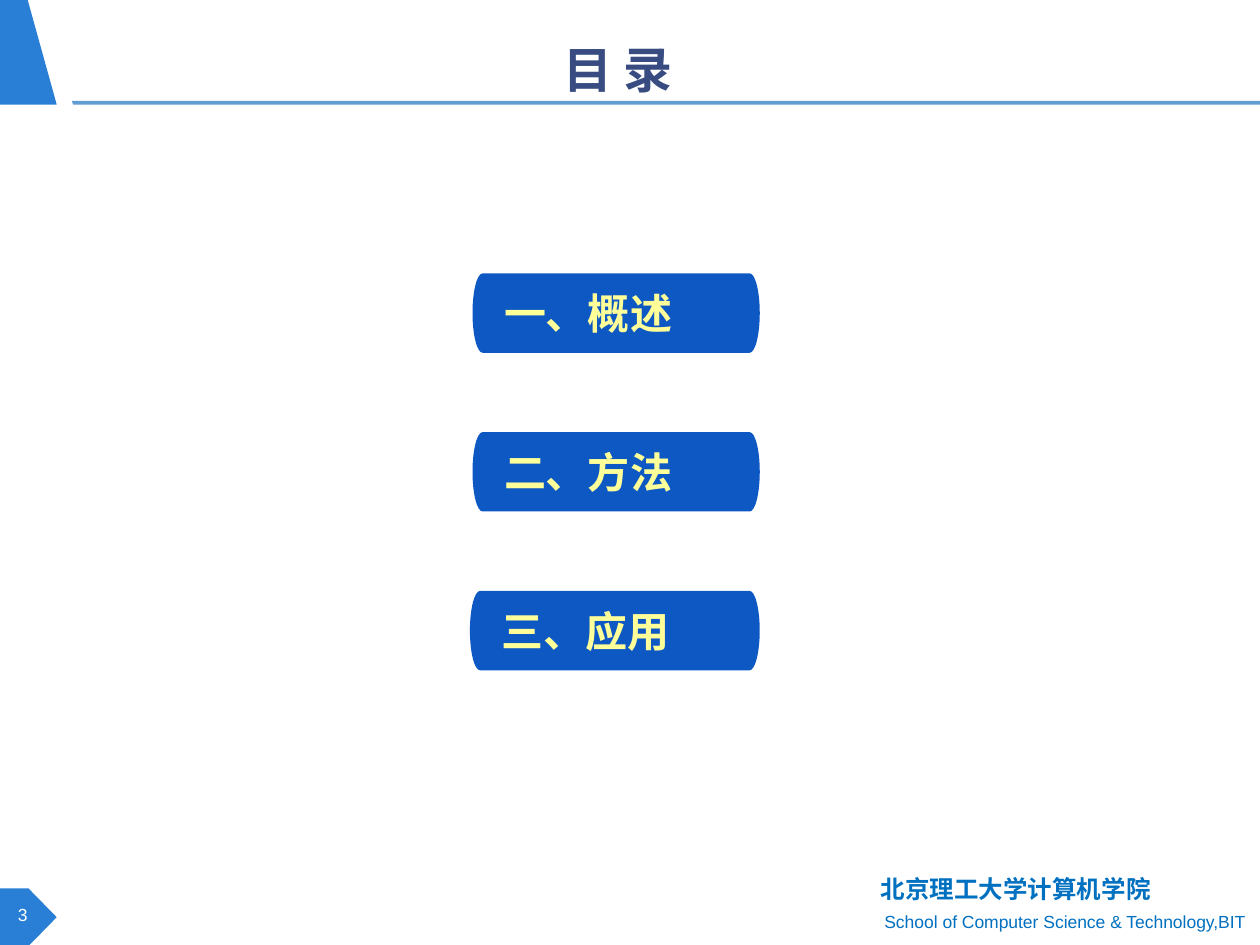
from pptx import Presentation
from pptx.dml.color import RGBColor
from pptx.enum.shapes import MSO_SHAPE as Shape
from pptx.enum.text import MSO_ANCHOR as Anchor, PP_ALIGN as Align
from pptx.oxml.ns import qn
from pptx.util import Inches, Pt

WIDE, HIGH = 10, 7.5
HAN, LATIN = "Noto Sans CJK SC", "Arial"
BLUE, SKY, NAVY = "297FD5", "629DD1", "384C81"
BAR, CREAM, LINK = "0E58C4", "FFFF99", "0070C0"
RIGHT, TOP, STEP, TALL, CAP, BEND = 6.03, 2.17, 1.26, 0.63, 0.08, 0.55
TOPICS = [("一、概述", 2.28), ("二、方法", 2.28), ("三、应用", 2.3)]


def tint(code):
    return RGBColor.from_string(code)


def paint(shape, code):
    shape.shadow.inherit = False
    shape.fill.solid()
    shape.fill.fore_color.rgb = tint(code)
    shape.line.fill.background()
    return shape


def place(shape, left, top, width, height):
    shape.left, shape.top = Inches(left), Inches(top)
    shape.width, shape.height = Inches(width), Inches(height)


def write(shape, text, size, code, face=HAN, bold=False, align=Align.LEFT, anchor=Anchor.MIDDLE):
    frame = shape.text_frame
    frame.text = text
    frame.vertical_anchor = anchor
    para = frame.paragraphs[0]
    para.alignment = align
    for run in para.runs:
        font = run.font
        font.size, font.bold, font.name = Pt(size), bold, face
        font.color.rgb = tint(code)
        east = run._r.get_or_add_rPr().makeelement(qn("a:ea"), {"typeface": face})
        font._element.find(qn("a:latin")).addnext(east)
    return frame


def label(slide, box, text, size, code, **style):
    shape = slide.shapes.add_textbox(*map(Inches, box))
    write(shape, text, size, code, **style).word_wrap = True


def outline(slide, points, code):
    spots = [(Inches(x), Inches(y)) for x, y in points]
    pen = slide.shapes.build_freeform(*spots[0])
    pen.add_line_segments(spots[1:], close=True)
    return paint(pen.convert_to_shape(), code)


def curve(shape, starts):
    lines = list(shape._element.iter(qn("a:lnTo")))
    for start in starts:
        first, *rest = lines[start:start + 3]
        first.tag = qn("a:cubicBezTo")
        for line in rest:
            first.append(line[0])
            line.getparent().remove(line)


def side(x, mid, way):
    half, tip = TALL / 2, x + way * CAP
    near, low = x + way * CAP * BEND, half * BEND
    steps = [(x, -half), (near, -half), (tip, -low), (tip, 0), (tip, low), (near, half), (x, half)]
    return [(across, mid + way * down) for across, down in steps]


def topic(slide, row, text, width):
    mid = TOP + row * STEP + TALL / 2
    left = RIGHT - width + CAP
    points = side(RIGHT - CAP, mid, 1) + side(left, mid, -1)
    shape = outline(slide, points[-1:] + points, BAR)
    curve(shape, (1, 4, 8, 11))
    frame = write(shape, text, 24, CREAM, bold=True)
    frame.margin_left = Inches(0.25)
    frame.word_wrap = False


def title(slide, text):
    shape = slide.shapes.title
    place(shape, 4.37, 0.24, 1.18, 0.62)
    write(shape, text, 28, NAVY, bold=True).word_wrap = False


def frame_page(slide):
    outline(slide, [(0, 0), (0.22, 0), (0.45, 0.83), (0, 0.83)], BLUE)
    outline(slide, [(0.57, 0.8), (WIDE, 0.8), (WIDE, 0.83), (0.58, 0.83)], SKY)
    tag = slide.shapes.add_shape(Shape.PENTAGON, 0, 0, 1, 1)
    place(paint(tag, BLUE), 0, 7.05, 0.45, 0.46)
    label(slide, (-0.03, 7.06, 0.42, 0.4), "3", 10, "FFFFFF", face=LATIN, align=Align.CENTER)
    label(slide, (6.89, 6.89, 3.09, 0.34), "北京理工大学计算机学院", 14, LINK,
          bold=True, align=Align.JUSTIFY, anchor=Anchor.TOP)
    label(slide, (6.44, 7.18, 3.54, 0.27), "School of Computer Science & Technology,BIT", 10, LINK,
          face=LATIN, align=Align.RIGHT, anchor=Anchor.TOP)


def main():
    deck = Presentation()
    deck.slide_width, deck.slide_height = Inches(WIDE), Inches(HIGH)
    slide = deck.slides.add_slide(deck.slide_layouts[5])
    frame_page(slide)
    title(slide, "目 录")
    for row, (text, width) in enumerate(TOPICS):
        topic(slide, row, text, width)
    deck.save("out.pptx")


if __name__ == "__main__":
    main()
